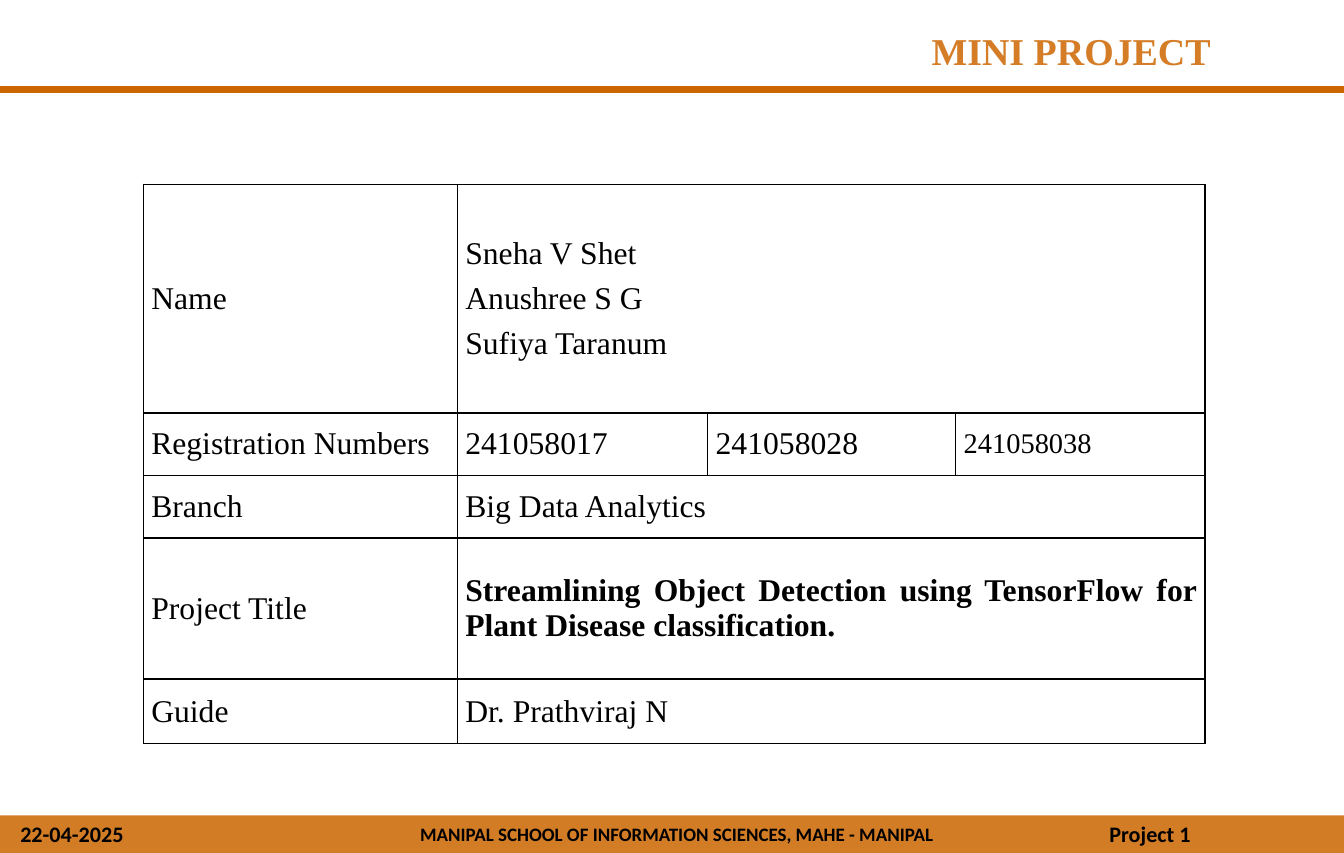
from lxml import etree
from pptx import Presentation
from pptx import util as u
from pptx.dml.color import RGBColor
from pptx.enum import shapes, text
from pptx.oxml.ns import qn

# Content
TITLE = "MINI PROJECT"
ROWS = [
    ("Name", ["Sneha V Shet\nAnushree S G\nSufiya Taranum"]),
    ("Registration Numbers", ["241058017", "241058028", "241058038"]),
    ("Branch", ["Big Data Analytics"]),
    ("Project Title", ["Streamlining Object Detection using TensorFlow "
                       "for Plant Disease classification."]),
    ("Guide", ["Dr. Prathviraj N"]),
]
SPECIAL_FORMATS = {
    "241058038": {"size": u.Pt(18)},
    ROWS[3][1][0]: {"bold": True},
}
# Footer text, left, width, size, alignment
FOOTER = [
    ("MANIPAL SCHOOL OF INFORMATION SCIENCES, MAHE - MANIPAL", 2.85, 6.2, 12, text.PP_ALIGN.CENTER),
    ("22-04-2025", 0.08, 1.33, 14, text.PP_ALIGN.LEFT),
    ("Project 1", 9.65, 2.15, 14, text.PP_ALIGN.LEFT),
]

# Layout in inches, on a slide 30 cm wide
WIDTH, HEIGHT = u.Cm(30).inches, 7.5
RULE_TOP, FOOTER_HEIGHT = 0.79, 0.33
FOOTER_TEXT_TOP, FOOTER_TEXT_HEIGHT = 7.16, 0.34
TITLE_BOX = (2.74, 0.19, 8, 0.51)
TABLE_LEFT, TABLE_TOP = 1.26, 1.62
COLUMN_WIDTHS = [2.76, 2.2, 2.18, 2.19]
ROW_HEIGHTS = [2.01, 0.55, 0.55, 1.24, 0.57]

ORANGE = RGBColor(0xCC, 0x66, 0x00)
TITLE_ORANGE = RGBColor(0xD4, 0x7D, 0x26)
BLACK = RGBColor(0, 0, 0)
SERIF, SANS = "Times New Roman", "Calibri"


def inches(*values):
    return [u.Inches(value) for value in values]


def write(frame, wording, color, alignment=text.PP_ALIGN.LEFT, **font_values):
    frame.text = wording
    frame.word_wrap = True
    for index, paragraph in enumerate(frame.paragraphs):
        paragraph.alignment = alignment
        paragraph.space_before = u.Pt(6.2 if index else 0)
        paragraph.font.color.rgb = color
        for name, value in font_values.items():
            setattr(paragraph.font, name, value)


def add_borders(cell):
    properties = cell._tc.get_or_add_tcPr()
    for position, side in enumerate(("a:lnL", "a:lnR", "a:lnT", "a:lnB")):
        line = etree.Element(qn(side), w=str(u.Pt(1)))
        fill = etree.SubElement(line, qn("a:solidFill"))
        etree.SubElement(fill, qn("a:srgbClr"), val=str(BLACK))
        properties.insert(position, line)


presentation = Presentation()
presentation.slide_width, presentation.slide_height = inches(WIDTH, HEIGHT)
slide = presentation.slides.add_slide(presentation.slide_layouts[5])

# Header rule
rule = slide.shapes.add_connector(
    shapes.MSO_CONNECTOR.STRAIGHT, *inches(0, RULE_TOP, WIDTH, RULE_TOP))
rule.line.color.rgb = ORANGE
rule.line.width = u.Pt(4.5)
etree.SubElement(rule._element.spPr, qn("a:effectLst"))

# Footer band and its texts
band = slide.shapes.add_shape(
    shapes.MSO_SHAPE.RECTANGLE, *inches(0, HEIGHT - FOOTER_HEIGHT, WIDTH, FOOTER_HEIGHT))
band.shadow.inherit = False
band.line.fill.background()
band.fill.solid()
band.fill.fore_color.rgb = ORANGE
band_color = band._element.spPr.find(".//" + qn("a:srgbClr"))
etree.SubElement(band_color, qn("a:alpha"), val="85000")

for wording, left, width, size, alignment in FOOTER:
    box = slide.shapes.add_textbox(*inches(left, FOOTER_TEXT_TOP, width, FOOTER_TEXT_HEIGHT))
    box.text_frame.vertical_anchor = text.MSO_ANCHOR.MIDDLE
    write(box.text_frame, wording, BLACK, alignment, name=SANS, size=u.Pt(size), bold=True)

# Title
title = slide.shapes.title
title.left, title.top, title.width, title.height = inches(*TITLE_BOX)
title.text_frame.auto_size = text.MSO_AUTO_SIZE.NONE
title.text_frame.vertical_anchor = text.MSO_ANCHOR.MIDDLE
write(title.text_frame, TITLE, TITLE_ORANGE, text.PP_ALIGN.RIGHT,
      name=SERIF, size=u.Pt(24), bold=True)

# Project details table
table = slide.shapes.add_table(
    len(ROW_HEIGHTS), len(COLUMN_WIDTHS),
    *inches(TABLE_LEFT, TABLE_TOP, sum(COLUMN_WIDTHS), sum(ROW_HEIGHTS))).table
table.first_row = table.horz_banding = False
for column, width in zip(table.columns, COLUMN_WIDTHS):
    column.width = u.Inches(width)
for row, height in zip(table.rows, ROW_HEIGHTS):
    row.height = u.Inches(height)

for cell in table.iter_cells():
    cell.fill.background()
    cell.vertical_anchor = text.MSO_ANCHOR.MIDDLE
    cell.margin_left = cell.margin_right = u.Inches(0.07)
    cell.margin_top = cell.margin_bottom = 0
    add_borders(cell)

for row_index, (label, values) in enumerate(ROWS):
    if len(values) == 1:
        table.cell(row_index, 1).merge(table.cell(row_index, len(COLUMN_WIDTHS) - 1))
    for column_index, wording in enumerate([label, *values]):
        special = SPECIAL_FORMATS.get(wording, {})
        alignment = text.PP_ALIGN.JUSTIFY if "bold" in special else text.PP_ALIGN.LEFT
        font_values = {"name": SERIF, "size": u.Pt(20), **special}
        write(table.cell(row_index, column_index).text_frame, wording, BLACK,
              alignment, **font_values)

presentation.save("out.pptx")
